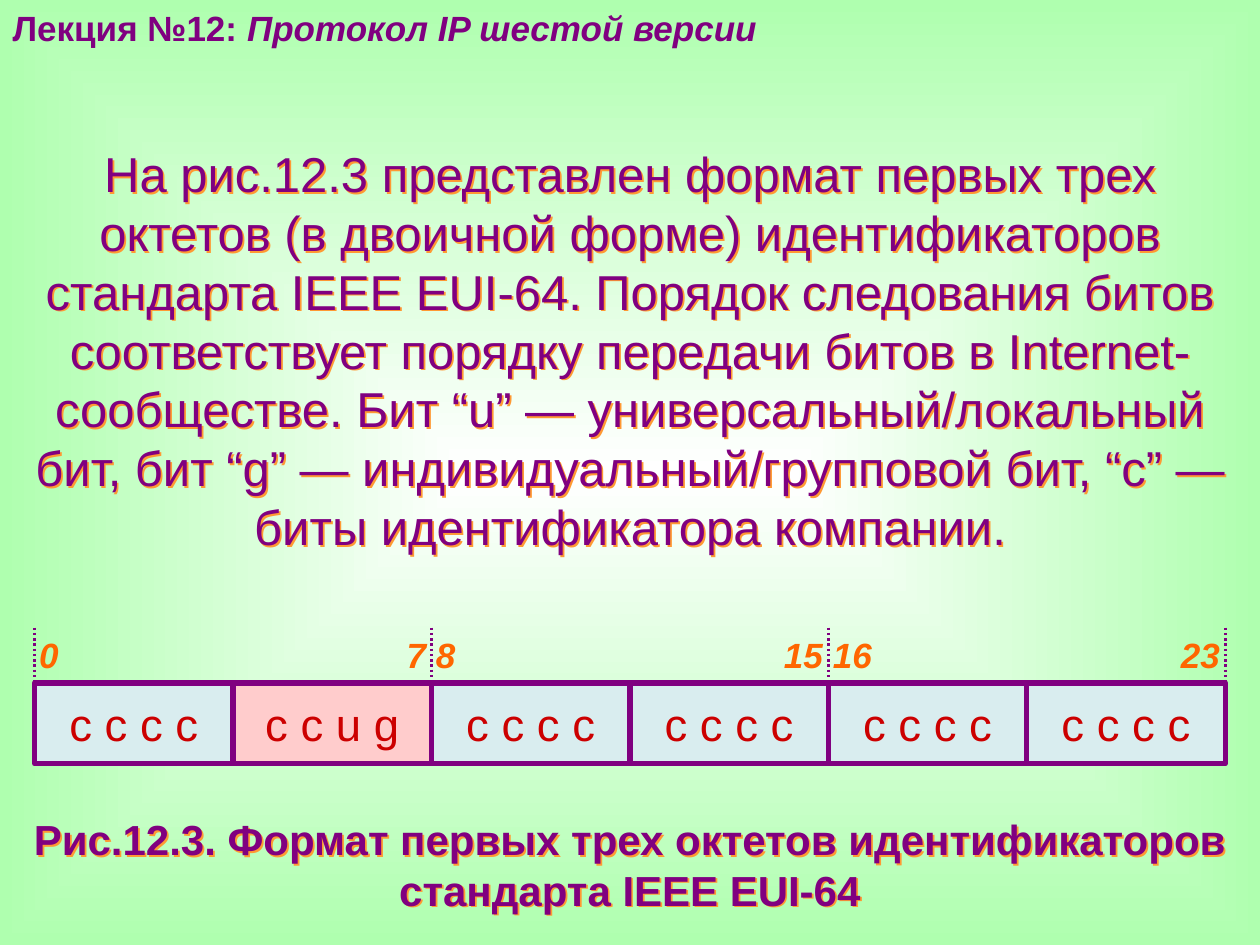
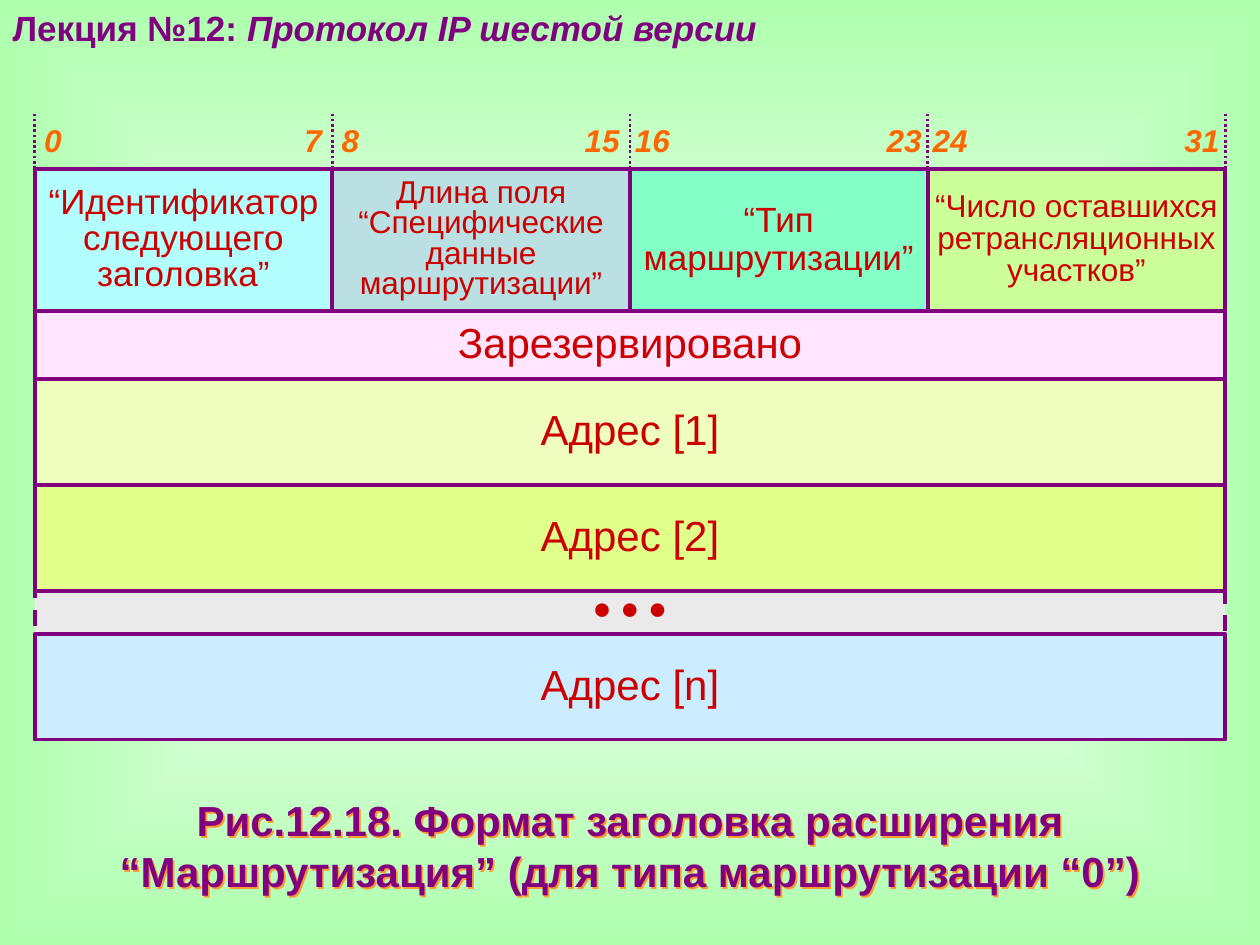
from dataclasses import dataclass

from pptx import Presentation
from pptx.dml.color import RGBColor
from pptx.enum.dml import MSO_LINE
from pptx.enum.shapes import MSO_CONNECTOR, MSO_SHAPE
from pptx.enum.text import MSO_ANCHOR, MSO_AUTO_SIZE, PP_ALIGN
from pptx.oxml import parse_xml
from pptx.oxml.ns import nsdecls, qn
from pptx.util import Cm, Pt

LEFT, CENTER = PP_ALIGN.LEFT, PP_ALIGN.CENTER
TOP, MIDDLE = MSO_ANCHOR.TOP, MSO_ANCHOR.MIDDLE
SOLID, DASH, DOT = MSO_LINE.SOLID, MSO_LINE.DASH, MSO_LINE.ROUND_DOT
RECT, STRAIGHT = MSO_SHAPE.RECTANGLE, MSO_CONNECTOR.STRAIGHT
NO_FIT = MSO_AUTO_SIZE.NONE
TITLE_ONLY = 5

SLIDE_W, SLIDE_H = 25.4, 19.05
DIAGRAM_W = 24
DIAGRAM_X = (SLIDE_W - DIAGRAM_W) / 2
TICK_H, LABEL_H = 1.5, 1.07


@dataclass(frozen=True)
class Theme:
    font: str = "Arial"
    bg_center: str = "FFFFFF"
    bg_edge: str = "AFFFAF"
    purple: str = "800080"
    field_text: str = "CC0000"
    bit_number: str = "FF6600"
    text_shadow: str = "FF9933"
    company: str = "D9EDEF"
    flags: str = "FFCCCC"
    next_header: str = "B3FFFF"
    length: str = "BBE0E3"
    routing_type: str = "85FFC8"
    segments_left: str = "CCFF99"
    reserved: str = "FFE5FF"
    address_1: str = "EFFEBE"
    address_2: str = "E1FF8B"
    gap: str = "EAEAEA"
    address_n: str = "CCECFF"
    title_size: int = 20
    body_size: int = 28
    caption_size: int = 24
    bits_size: int = 26
    field_size: int = 24
    header_size: int = 20
    small_size: int = 18


class Deck:
    def __init__(self, theme):
        self.t = theme
        self.prs = Presentation()
        self.prs.slide_width, self.prs.slide_height = Cm(SLIDE_W), Cm(SLIDE_H)
        self.s = None
        self.paint_background()

    def paint_background(self):
        master = self.prs.slide_master
        fill = master.background.fill
        fill.gradient()
        for stop, pos, color in zip(fill.gradient_stops, (0, 1),
                                    (self.t.bg_center, self.t.bg_edge)):
            stop.position = pos
            stop.color.rgb = RGBColor.from_string(color)
        bg = master.element.cSld.find(qn("p:bg"))
        lin = next(bg.iter(qn("a:lin")))
        lin.getparent().replace(lin, parse_xml(
            f'<a:path {nsdecls("a")} path="shape">'
            '<a:fillToRect l="50000" t="50000" r="50000" b="50000"/></a:path>'))

    def new_slide(self, lecture, topic):
        self.s = self.prs.slides.add_slide(self.prs.slide_layouts[TITLE_ONLY])
        sp = self.s.shapes.title
        sp.left, sp.top, sp.width, sp.height = Cm(0), Cm(0), Cm(16.2), Cm(1.09)
        p = self.frame(sp, TOP).paragraphs[0]
        p.alignment = LEFT
        self.run(p, lecture, self.t.title_size, self.t.purple, bold=True)
        self.run(p, topic, self.t.title_size, self.t.purple, bold=True, italic=True)

    def frame(self, sp, anchor, pad=None):
        """Set wrapping and anchor; pad is the side inset when the others are zero."""
        tf = sp.text_frame
        tf.word_wrap, tf.auto_size, tf.vertical_anchor = True, NO_FIT, anchor
        if pad is not None:
            tf.margin_left = tf.margin_right = Cm(pad)
            tf.margin_top = tf.margin_bottom = 0
        return tf

    def run(self, p, text, size, color, bold=False, italic=False):
        r = p.add_run()
        r.text = text
        r.font.name, r.font.size = self.t.font, Pt(size)
        r.font.bold, r.font.italic = bold, italic
        r.font.color.rgb = RGBColor.from_string(color)

    def shadowed_text(self, text, y, h, size, bold=False):
        sp = self.s.shapes.add_textbox(0, Cm(y), Cm(SLIDE_W), Cm(h))
        p = self.frame(sp, TOP).paragraphs[0]
        p.alignment = CENTER
        self.run(p, text, size, self.t.purple, bold)
        sp.element.spPr.append(parse_xml(
            f'<a:effectLst {nsdecls("a")}><a:outerShdw dist="18000" dir="2700000">'
            f'<a:srgbClr val="{self.t.text_shadow}"/></a:outerShdw></a:effectLst>'))

    def caption(self, text, y):
        self.shadowed_text(text, y, 2.29, self.t.caption_size, bold=True)

    def tick(self, x, y):
        line = self.s.shapes.add_connector(STRAIGHT, Cm(x), Cm(y), Cm(x), Cm(y + TICK_H))
        line.line.color.rgb = RGBColor.from_string(self.t.purple)
        line.line.width, line.line.dash_style = Pt(1.5), DOT
        line.element.spPr.append(parse_xml(f'<a:effectLst {nsdecls("a")}/>'))

    def bit_range(self, first, last, x, y, w, size, pad):
        """First bit at the left edge, last bit at a right tab stop."""
        sp = self.s.shapes.add_textbox(Cm(x), Cm(y), Cm(w), Cm(LABEL_H))
        p = self.frame(sp, MIDDLE, pad).paragraphs[0]
        p.alignment = LEFT
        stop = Cm(w - 2 * pad - 0.02)
        p._p.get_or_add_pPr().append(parse_xml(
            f'<a:tabLst {nsdecls("a")}><a:tab pos="{stop}" algn="r"/></a:tabLst>'))
        self.run(p, f"{first}\t{last}", size, self.t.bit_number, bold=True, italic=True)

    def bit_ruler(self, y, size, pads):
        """One octet per pad, with ticks at every octet border."""
        w = DIAGRAM_W / len(pads)
        for i in range(len(pads) + 1):
            self.tick(DIAGRAM_X + i * w, y)
        for i, pad in enumerate(pads):
            self.bit_range(8 * i, 8 * i + 7, DIAGRAM_X + i * w, y, w, size, pad)

    def field(self, lines, x, y, w, h, fill, size, spacing=0.9, border=2.25, dash=SOLID):
        sp = self.s.shapes.add_shape(RECT, Cm(x), Cm(y), Cm(w), Cm(h))
        sp.shadow.inherit = False
        sp.fill.solid()
        sp.fill.fore_color.rgb = RGBColor.from_string(fill)
        sp.line.color.rgb = RGBColor.from_string(self.t.purple)
        sp.line.width, sp.line.dash_style = Pt(border), dash
        tf = self.frame(sp, MIDDLE, 0)
        for i, text in enumerate(lines):
            p = tf.add_paragraph() if i else tf.paragraphs[0]
            p.alignment, p.line_spacing = CENTER, spacing
            self.run(p, text, size, self.t.field_text)


def eui64_slide(d):
    t = d.t
    d.shadowed_text(
        "На рис.12.3 представлен формат первых трех октетов (в двоичной форме) "
        "идентификаторов стандарта IEEE EUI-64. Порядок следования битов "
        "соответствует порядку передачи битов в Internet-сообществе. "
        "Бит “u” — универсальный/локальный бит, бит “g” — "
        "индивидуальный/групповой бит, “с” — биты идентификатора компании.",
        2.77, 8.56, t.body_size)
    d.caption("Рис.12.3. Формат первых трех октетов идентификаторов "
              "стандарта IEEE EUI-64", 16.28)
    d.bit_ruler(12.65, t.title_size, [0.09] * 3)
    nibbles = ["c c c c"] * 6
    nibbles[1] = "c c u g"
    w = DIAGRAM_W / len(nibbles)
    for i, bits in enumerate(nibbles):
        fill = t.flags if "g" in bits else t.company
        d.field([bits], DIAGRAM_X + i * w, 13.77, w, 1.63, fill, t.bits_size,
                spacing=1.0, border=3)


def routing_slide(d):
    t = d.t
    d.caption("Рис.12.18. Формат заголовка расширения “Маршрутизация” "
              "(для типа маршрутизации “0”)", 15.9)
    d.field(["● ● ●"], DIAGRAM_X, 11.79, DIAGRAM_W, 0.99, t.gap, t.small_size, dash=DASH)
    d.bit_ruler(2.29, t.small_size, [0.19, 0.19, 0.1, 0.1])
    header = [
        (["“Идентификатор следующего заголовка”"], t.next_header, t.header_size, 0.85),
        (["Длина поля", "“Специфические данные маршрутизации”"],
         t.length, t.small_size, 0.8),
        (["“Тип маршрутизации”"], t.routing_type, t.header_size, 0.9),
        (["“Число оставшихся ретрансляционных участков”"],
         t.segments_left, t.small_size, 0.85),
    ]
    w = DIAGRAM_W / len(header)
    for i, (lines, fill, size, spacing) in enumerate(header):
        d.field(lines, DIAGRAM_X + i * w, 3.4, w, 2.87, fill, size, spacing)
    rows = [
        ("Зарезервировано", 6.27, 1.38, t.reserved),
        ("Адрес [1]", 7.65, 2.13, t.address_1),
        ("Адрес [2]", 9.78, 2.13, t.address_2),
        ("Адрес [n]", 12.78, 2.13, t.address_n),
    ]
    for text, y, h, fill in rows:
        d.field([text], DIAGRAM_X, y, DIAGRAM_W, h, fill, t.field_size)


def main():
    d = Deck(Theme())
    for build in (eui64_slide, routing_slide):
        d.new_slide("Лекция №12: ", "Протокол IP шестой версии")
        build(d)
    d.prs.save("out.pptx")


if __name__ == "__main__":
    main()
